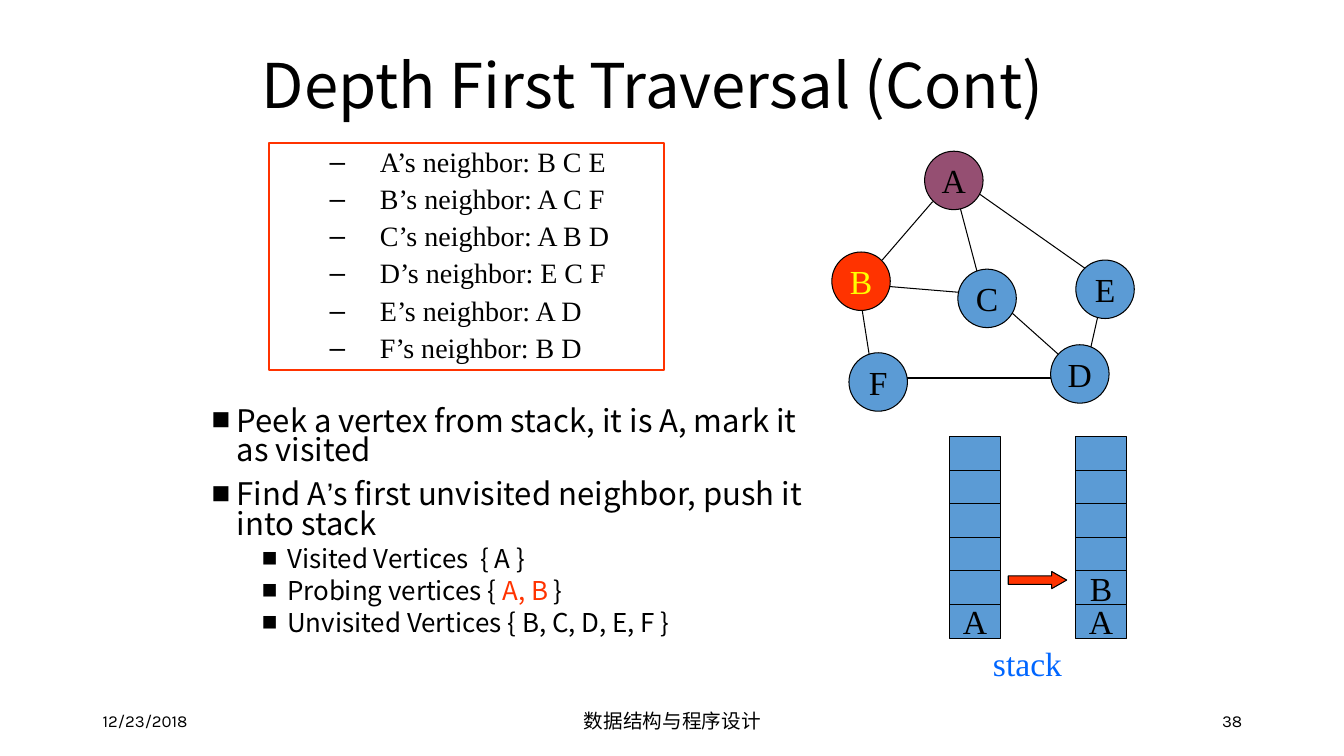
from lxml import etree
from pptx import Presentation
from pptx.dml.color import RGBColor
from pptx.enum.shapes import MSO_CONNECTOR, MSO_SHAPE
from pptx.enum.text import MSO_ANCHOR, PP_ALIGN
from pptx.oxml.ns import qn
from pptx.util import Inches, Pt

LEFT, CENTER, RIGHT = PP_ALIGN.LEFT, PP_ALIGN.CENTER, PP_ALIGN.RIGHT
TOP, MIDDLE = MSO_ANCHOR.TOP, MSO_ANCHOR.MIDDLE
OVAL, RECT, ARROW = MSO_SHAPE.OVAL, MSO_SHAPE.RECTANGLE, MSO_SHAPE.RIGHT_ARROW
STRAIGHT = MSO_CONNECTOR.STRAIGHT

COLORS = {
    "black": "000000",
    "red": "FF3300",
    "yellow": "FFFF00",
    "plum": "954F72",
    "blue": "5B9BD5",
    "link": "0066FF",
}
SANS, SERIF, FOOTER, QUOTE = "Noto Sans CJK SC", "Times New Roman", "Karla", "Arial"

NODE_SIZE = 0.58
NODES = [  # label, left, top, fill, text colour
    ("A", 9.17, 1.5, "plum", "black"),
    ("B", 8.25, 2.5, "red", "yellow"),
    ("C", 9.5, 2.67, "blue", "black"),
    ("E", 10.67, 2.58, "blue", "black"),
    ("F", 8.42, 3.5, "blue", "black"),
    ("D", 10.42, 3.42, "blue", "black"),
]
EDGES = [
    (8.67, 2.83, 9.75, 2.92),   # B-C
    (9.25, 2, 8.75, 2.58),      # A-B
    (9.42, 1.67, 9.75, 2.92),   # A-C
    (9.58, 1.83, 11, 2.83),     # A-E
    (8.5, 2.75, 8.67, 3.83),    # B-F
    (10.92, 3, 10.75, 3.75),    # E-D
    (9.83, 2.92, 10.67, 3.67),  # C-D
    (8.83, 3.75, 10.58, 3.75),  # F-D
]
NEIGHBORS = {"A": "B C E", "B": "A C F", "C": "A B D",
             "D": "E C F", "E": "A D", "F": "B D"}
STACK_TOP, CELL_W, CELL_H = 4.33, 0.5, 1 / 3
STACKS = [(9.42, ["", "", "", "", "", "A"]), (10.67, ["", "", "", "", "B", "A"])]

STEPS = [
    [("Peek a vertex from stack, it is A, mark it as visited",)],
    [("Find A",), ("’", "black", QUOTE), ("s first unvisited neighbor, push it into stack",)],
]
VERTEX_SETS = [
    [("Visited Vertices  { A }",)],
    [("Probing vertices { ",), ("A, B", "red"), (" }",)],
    [("Unvisited Vertices { B, C, D, E, F }",)],
]


class SlideBuilder:
    def __init__(self, prs):
        self.s = prs.slides.add_slide(prs.slide_layouts[6])

    def run(self, p, text, size, font, color="black"):
        r = p.add_run()
        r.text = text
        r.font.size = Pt(size)
        r.font.name = font
        r.font.color.rgb = RGBColor.from_string(COLORS[color])

    def bullet(self, p, char, margin, indent, level=0):
        """Give a paragraph a bullet character with a hanging indent in inches."""
        p.level = level
        pPr = p._p.get_or_add_pPr()
        pPr.set("marL", str(Inches(margin)))
        pPr.set("indent", str(Inches(-indent)))
        etree.SubElement(pPr, qn("a:buFont")).set("typeface", QUOTE)
        etree.SubElement(pPr, qn("a:buChar")).set("char", char)

    def paragraph(self, tf, first, spacing, before):
        p = tf.paragraphs[0] if first else tf.add_paragraph()
        p.alignment = LEFT
        p.line_spacing = spacing
        p.space_before = Pt(0 if first else before)
        return p

    def textbox(self, x, y, w, h, anchor=TOP):
        """Add an empty wrapping text box and return its text frame."""
        sp = self.s.shapes.add_textbox(Inches(x), Inches(y), Inches(w), Inches(h))
        tf = sp.text_frame
        tf.word_wrap = True
        tf.vertical_anchor = anchor
        return tf

    def label(self, x, y, w, h, text, size, font, color="black", align=LEFT, anchor=MIDDLE):
        p = self.textbox(x, y, w, h, anchor).paragraphs[0]
        p.alignment = align
        self.run(p, text, size, font, color)
        return p

    def shape(self, kind, x, y, w, h, fill=None, line="black", width=0.75):
        sp = self.s.shapes.add_shape(kind, Inches(x), Inches(y), Inches(w), Inches(h))
        sp.shadow.inherit = False
        if fill:
            sp.fill.solid()
            sp.fill.fore_color.rgb = RGBColor.from_string(COLORS[fill])
        else:
            sp.fill.background()
        sp.line.color.rgb = RGBColor.from_string(COLORS[line])
        sp.line.width = Pt(width)
        return sp

    def lettered(self, kind, x, y, w, h, letter, fill, color="black"):
        """Add a filled shape with a centred letter, if there is one."""
        sp = self.shape(kind, x, y, w, h, fill)
        if letter:
            tf = sp.text_frame
            tf.word_wrap = False
            tf.vertical_anchor = MIDDLE
            p = tf.paragraphs[0]
            p.alignment = CENTER
            self.run(p, letter, 24, SERIF, color)

    def edge(self, x1, y1, x2, y2):
        cx = self.s.shapes.add_connector(STRAIGHT, Inches(x1), Inches(y1), Inches(x2), Inches(y2))
        cx.line.color.rgb = RGBColor.from_string(COLORS["black"])
        cx.line.width = Pt(0.75)
        etree.SubElement(cx._element.spPr, qn("a:effectLst"))

    def neighbor_list(self):
        sp = self.shape(RECT, 2.67, 1.42, 3.92, 2.25, line="red", width=1.5)
        tf = sp.text_frame
        tf.word_wrap = True
        tf.vertical_anchor = TOP
        for i, (vertex, others) in enumerate(NEIGHBORS.items()):
            p = self.paragraph(tf, i == 0, 0.9, 5)
            self.bullet(p, "–", 1, 0.5, 1)
            self.run(p, f"{vertex}’s neighbor: {others}", 20, SERIF)

    def steps(self):
        tf = self.textbox(2, 4, 6.25, 2.5)
        levels = [(STEPS, 22.2, 10, 0.25), (VERTEX_SETS, 18.5, 5, 0.75)]
        for level, (items, size, before, margin) in enumerate(levels):
            for i, runs in enumerate(items):
                p = self.paragraph(tf, level == i == 0, 0.8, before)
                self.bullet(p, "■", margin, 0.25, level)
                for text, color, font in ((r + ("black", SANS)[len(r) - 1:]) for r in runs):
                    self.run(p, text, size, font, color)


def main():
    prs = Presentation()
    prs.slide_width, prs.slide_height = Inches(13.33), Inches(7.5)
    slide = SlideBuilder(prs)

    slide.label(0.92, 6.95, 3, 0.4, "12/23/2018", 12, FOOTER)
    slide.label(4.42, 6.95, 4.5, 0.4, "数据结构与程序设计", 14, FOOTER, align=CENTER)
    slide.label(9.42, 6.95, 3, 0.4, "38", 12, FOOTER, align=RIGHT)

    for ends in EDGES:
        slide.edge(*ends)
    title = slide.label(2.5, 0.25, 8.5, 1.25, "Depth First Traversal (Cont)", 44, SANS)
    title.line_spacing = 0.9
    slide.steps()
    for letter, x, y, fill, color in NODES:
        slide.lettered(OVAL, x, y, NODE_SIZE, NODE_SIZE, letter, fill, color)
    slide.neighbor_list()

    for x, cells in STACKS:
        for row, letter in enumerate(cells):
            slide.lettered(RECT, x, STACK_TOP + row * CELL_H, CELL_W, CELL_H, letter, "blue")
    slide.label(9.75, 6.33, 0.92, 0.5, "stack", 24, SERIF, "link", anchor=TOP)
    push = slide.shape(ARROW, 10, 5.67, 0.58, 0.17, "red")
    push.adjustments[0], push.adjustments[1] = 0.5, 0.875

    prs.save("out.pptx")


if __name__ == "__main__":
    main()
